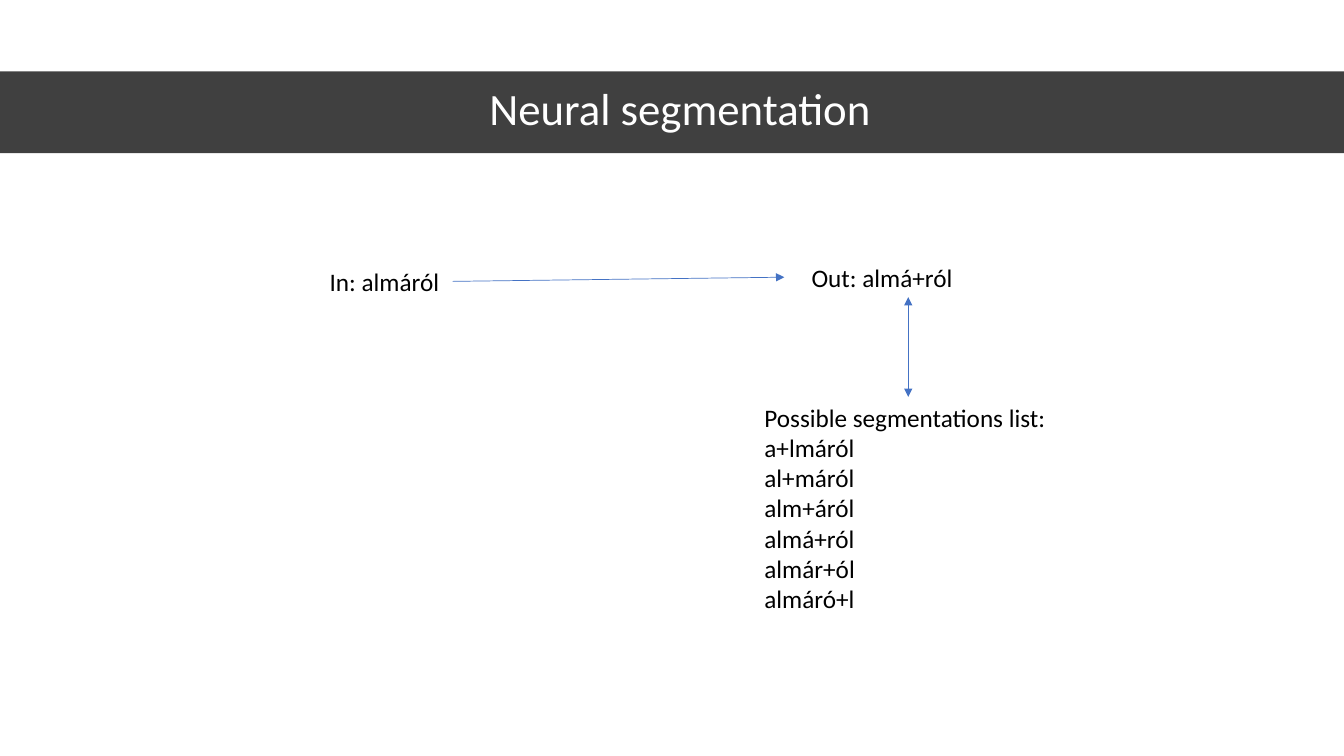
import dataclasses

import pptx
import pptx.dml.color
import pptx.enum.shapes
import pptx.enum.text
import pptx.oxml.ns
import pptx.oxml.xmlchemy
import pptx.util
from lxml import etree

PX = 9525
BLACK = pptx.dml.color.RGBColor(0x00, 0x00, 0x00)
WHITE = pptx.dml.color.RGBColor(0xFF, 0xFF, 0xFF)
BLUE = pptx.dml.color.RGBColor(0x44, 0x72, 0xC4)
BOTTOM, LEFT, RIGHT, TOP = 2, 1, 3, 0
WORD = "almáról"
qn = pptx.oxml.ns.qn


@dataclasses.dataclass(frozen=True)
class Label:
    """A text box, measured in px."""

    left: int
    top: int
    width: int
    height: int
    lines: tuple[str, ...]
    size: int = 18
    color: pptx.dml.color.RGBColor = BLACK
    inset: int = 10
    title: bool = False


@dataclasses.dataclass(frozen=True)
class Arrow:
    """A link between sides of two named labels."""

    start: str
    side: int
    end: str
    goal: int
    tips: tuple[str, ...]


SPLITS = tuple(f"{WORD[:i]}+{WORD[i:]}" for i in range(1, len(WORD)))
LABELS = {
    "title": Label(59, 67, 1177, 78, ("Neural segmentation",), 32, WHITE, title=True),
    "list": Label(718, 378, 294, 242, ("Possible segmentations list:", *SPLITS)),
    "in": Label(304, 249, 127, 38, (f"In: {WORD}",)),
    "out": Label(747, 245, 236, 38, ("Out: almá+ról",), inset=26),
}
ARROWS = (
    Arrow("in", RIGHT, "out", LEFT, ("tailEnd",)),
    Arrow("out", BOTTOM, "list", TOP, ("headEnd", "tailEnd")),
)


def px(count: int) -> pptx.util.Emu:
    """Turn px into EMU."""
    return pptx.util.Emu(count * PX)


def add_band(slide: pptx.slide.Slide) -> None:
    """Draw the translucent band behind the title."""
    band = slide.shapes.add_shape(
        pptx.enum.shapes.MSO_SHAPE.RECTANGLE, px(0), px(68), px(1280), px(78)
    )
    band.shadow.inherit = False
    band.fill.solid()
    band.fill.fore_color.rgb = BLACK
    band.line.fill.background()
    tint = band.fill._xPr.find(qn("a:solidFill"))[0]
    etree.SubElement(tint, qn("a:alpha"), val="75000")


def add_label(slide: pptx.slide.Slide, label: Label) -> pptx.shapes.autoshape.Shape:
    """Draw one text box."""
    box = slide.shapes.add_textbox(
        px(label.left), px(label.top), px(label.width), px(label.height)
    )
    frame = box.text_frame
    frame.word_wrap = True
    frame.margin_left = px(label.inset)
    if label.title:
        frame.vertical_anchor = pptx.enum.text.MSO_ANCHOR.MIDDLE
    for index, line in enumerate(label.lines):
        para = frame.add_paragraph() if index else frame.paragraphs[0]
        if label.title:
            para.alignment = pptx.enum.text.PP_ALIGN.CENTER
            para.line_spacing = 0.9
        run = para.add_run()
        run.text = line
        run.font.name = "Calibri"
        run.font.size = pptx.util.Pt(label.size)
        run.font.color.rgb = label.color
    return box


def add_arrow(
    slide: pptx.slide.Slide,
    arrow: Arrow,
    boxes: dict[str, pptx.shapes.autoshape.Shape],
) -> None:
    """Draw one arrow joined to its two boxes."""
    link = slide.shapes.add_connector(
        pptx.enum.shapes.MSO_CONNECTOR.STRAIGHT, px(0), px(0), px(0), px(0)
    )
    link.begin_connect(boxes[arrow.start], arrow.side)
    link.end_connect(boxes[arrow.end], arrow.goal)
    link.line.color.rgb = BLUE
    link.line.width = pptx.util.Pt(0.5)
    stroke = link.line._get_or_add_ln()
    for tip in arrow.tips:
        etree.SubElement(stroke, qn(f"a:{tip}"), type="triangle")
    etree.SubElement(link._element.spPr, qn("a:effectLst"))


def main() -> None:
    """Build and save the slide."""
    deck = pptx.Presentation()
    deck.slide_width, deck.slide_height = px(1280), px(720)
    slide = deck.slides.add_slide(deck.slide_layouts[6])
    add_band(slide)
    boxes = {name: add_label(slide, label) for name, label in LABELS.items()}
    for arrow in ARROWS:
        add_arrow(slide, arrow, boxes)
    deck.save("out.pptx")


if __name__ == "__main__":
    main()
